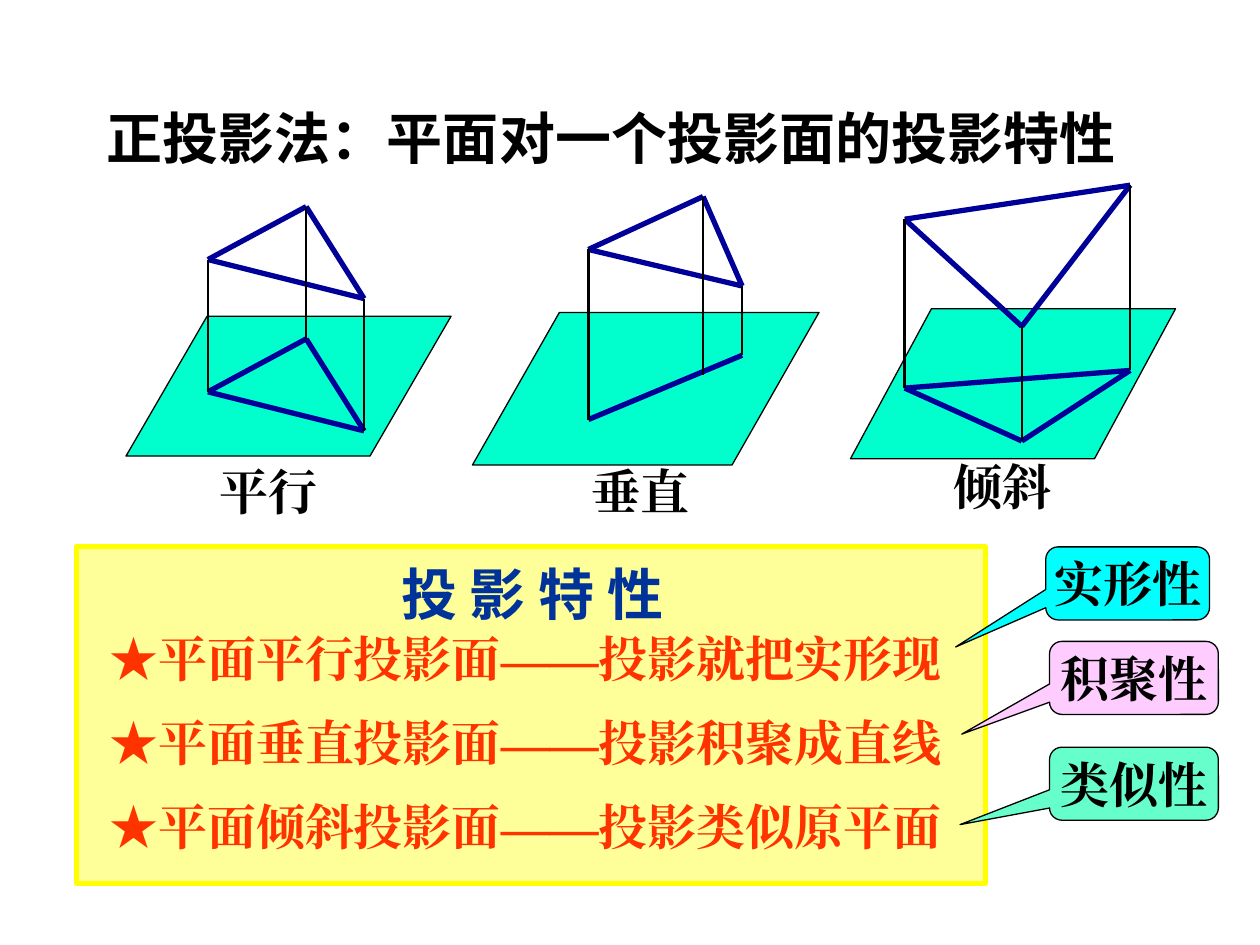
from dataclasses import dataclass
from itertools import combinations

from lxml.etree import SubElement
from pptx import Presentation
from pptx.dml.color import RGBColor
from pptx.enum.shapes import MSO_CONNECTOR, MSO_SHAPE
from pptx.enum.text import MSO_ANCHOR, PP_ALIGN
from pptx.oxml.ns import qn
from pptx.util import Inches, Pt

# The slide is a grid of 100 columns by 75 rows.
COLUMNS, ROWS = 100, 75
WIDTH, HEIGHT = Inches(10), Inches(7.5)

BLACK = RGBColor(0x00, 0x00, 0x00)
NAVY = RGBColor(0x00, 0x00, 0x99)
HEADING_BLUE = RGBColor(0x00, 0x33, 0x99)
TEAL = RGBColor(0x00, 0xFF, 0xCC)
YELLOW = RGBColor(0xFF, 0xFF, 0x00)
PALE_YELLOW = RGBColor(0xFF, 0xFF, 0x99)
RED = RGBColor(0xFF, 0x33, 0x00)
CYAN = RGBColor(0x00, 0xFF, 0xFF)
PINK = RGBColor(0xFF, 0xCC, 0xFF)
MINT = RGBColor(0x66, 0xFF, 0xCC)

SERIF = "Times New Roman"
SANS = "Noto Sans CJK SC"
TRIANGLE = tuple(combinations(range(3), 2))


@dataclass
class Scene:
    """A triangle, its projection and the plane it falls on."""
    label: str
    label_box: tuple
    plane: tuple
    slant: float
    corners: tuple
    feet: tuple
    projected_edges: tuple = TRIANGLE


SCENES = (
    Scene("垂直", (44.8, 36.1, 12.1, 5.7), (37.5, 24.8, 27.5, 12.1), 0.57,
          ((46.7, 19.8), (55.8, 15.6), (58.9, 22.7)),
          (33.3, 29.8, 28.2), ((0, 2),)),
    Scene("倾斜", (74.6, 35.7, 9.9, 5.7), (67.5, 24.5, 25.8, 11.9), 0.54,
          ((71.8, 17.4), (81.1, 25.9), (89.7, 14.7)),
          (30.8, 35, 29.4)),
    Scene("平行", (14.7, 36.1, 13.2, 5.7), (10, 25.1, 25.8, 11.1), 0.58,
          ((16.5, 20.6), (24.3, 16.4), (28.9, 23.7)),
          (31.1, 26.9, 34.2)),
)

RULES = (
    "★平面平行投影面——投影就把实形现",
    "★平面垂直投影面——投影积聚成直线",
    "★平面倾斜投影面——投影类似原平面",
)

CALLOUTS = (
    ("实形性", (83, 43.4, 13, 5.8), (-1.05, 0.87), CYAN),
    ("类似性", (83.3, 59.3, 13.4, 5.8), (-1.03, 0.56), MINT),
    ("积聚性", (83.3, 50.9, 13.4, 5.8), (-1.02, 0.77), PINK),
)


def column(count):
    """Return the width of a number of columns."""
    return round(WIDTH * count / COLUMNS)


def row(count):
    """Return the height of a number of rows."""
    return round(HEIGHT * count / ROWS)


def place(box):
    """Turn a box in grid units into left, top, width and height."""
    left, top, width, height = box
    return column(left), row(top), column(width), row(height)


def write_text(shape, text, size=28, font=SERIF, color=BLACK,
               align=PP_ALIGN.CENTER, wrap=False):
    """Write one bold line, centred vertically in the shape."""
    frame = shape.text_frame
    frame.word_wrap = wrap
    frame.vertical_anchor = MSO_ANCHOR.MIDDLE
    paragraph = frame.paragraphs[0]
    paragraph.alignment = align
    run = paragraph.add_run()
    run.text = text
    run.font.size = Pt(size)
    run.font.bold = True
    run.font.name = font
    run.font.color.rgb = color
    SubElement(run.font._element, qn("a:ea")).set("typeface", font)


def add_label(shapes, box, text, **text_format):
    """Add a text box."""
    write_text(shapes.add_textbox(*place(box)), text, **text_format)


def add_block(shapes, kind, box, fill, line=None, weight=0.75, adjust=()):
    """Add a filled preset shape, with an outline if a colour is given."""
    shape = shapes.add_shape(kind, *place(box))
    shape.shadow.inherit = False
    for index, value in enumerate(adjust):
        shape.adjustments[index] = value
    shape.fill.solid()
    shape.fill.fore_color.rgb = fill
    if line is None:
        shape.line.fill.background()
    else:
        shape.line.color.rgb = line
        shape.line.width = Pt(weight)
    return shape


def add_line(shapes, start, end, color, weight):
    """Add a straight line between two grid points."""
    connector = shapes.add_connector(
        MSO_CONNECTOR.STRAIGHT, column(start[0]), row(start[1]),
        column(end[0]), row(end[1]))
    connector.line.color.rgb = color
    connector.line.width = Pt(weight)
    SubElement(connector._element.spPr, qn("a:effectLst"))


def add_scene(slide, scene):
    """Draw a plane, a triangle, its projection and the projectors."""
    shapes = slide.shapes.add_group_shape().shapes
    add_block(shapes, MSO_SHAPE.PARALLELOGRAM, scene.plane, TEAL, BLACK,
              adjust=(scene.slant,))
    feet = [(x, foot) for (x, _), foot in zip(scene.corners, scene.feet)]
    for points, edges in ((scene.corners, TRIANGLE),
                          (feet, scene.projected_edges)):
        for first, second in edges:
            add_line(shapes, points[first], points[second], NAVY, 3)
    for corner, foot in zip(scene.corners, feet):
        add_line(shapes, corner, foot, BLACK, 1.5)
    add_label(shapes, scene.label_box, scene.label)


def add_panel(slide):
    """Add the panel with its heading and the three rules."""
    shapes = slide.shapes.add_group_shape().shapes
    add_block(shapes, MSO_SHAPE.RECTANGLE, (6.1, 43.4, 72.1, 26.7),
              PALE_YELLOW, YELLOW, weight=3)
    heading = add_block(shapes, MSO_SHAPE.RECTANGLE,
                        (27.3, 43.9, 29.9, 6.3), PALE_YELLOW)
    write_text(heading, "投 影 特 性", size=32, font=SANS,
               color=HEADING_BLUE, wrap=True)
    for index, rule in enumerate(RULES):
        box = (7.7, 49.4 + 6.65 * index, 68.4, 5.7)
        line = add_block(shapes, MSO_SHAPE.RECTANGLE, box, PALE_YELLOW)
        write_text(line, rule, color=RED, align=PP_ALIGN.LEFT)


def add_callout(slide, text, box, tip, fill):
    """Add a rounded callout whose tip points at a rule."""
    shape = add_block(slide.shapes, MSO_SHAPE.ROUNDED_RECTANGULAR_CALLOUT,
                      box, fill, BLACK, adjust=(*tip, 0.17))
    write_text(shape, text)


def main():
    """Build the slide and save it."""
    presentation = Presentation()
    presentation.slide_width, presentation.slide_height = WIDTH, HEIGHT
    slide = presentation.slides.add_slide(presentation.slide_layouts[6])
    add_label(slide.shapes, (7.5, 7.7, 82.3, 6.3),
              "正投影法：平面对一个投影面的投影特性",
              size=32, font=SANS, align=PP_ALIGN.LEFT)
    for scene in SCENES:
        add_scene(slide, scene)
    add_panel(slide)
    for callout in CALLOUTS:
        add_callout(slide, *callout)
    presentation.save("out.pptx")


main()
